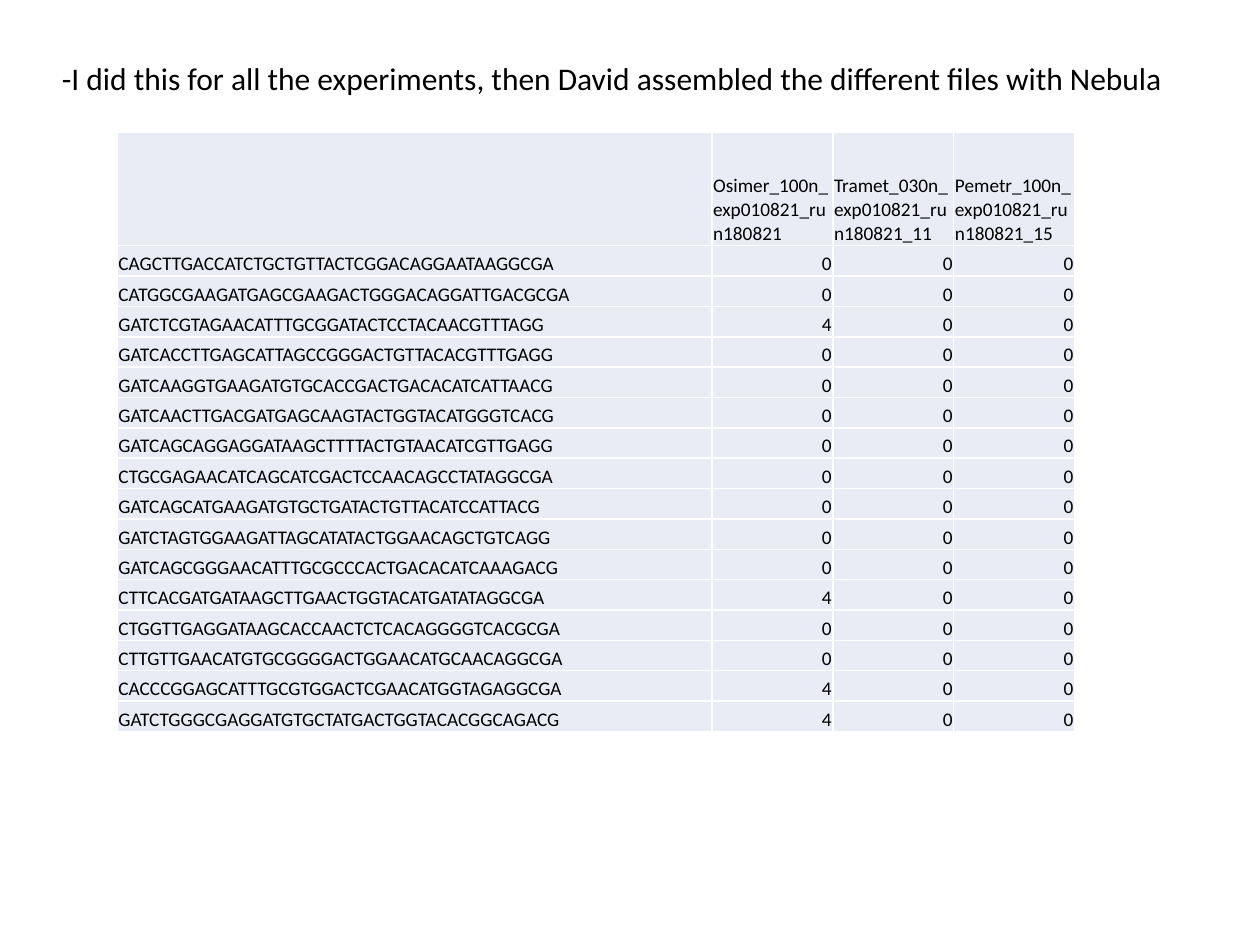
import pptx
import pptx.util
import pptx.dml.color
import pptx.enum.text
import lxml.etree
from pptx.oxml.ns import qn

Inches, Pt = pptx.util.Inches, pptx.util.Pt
Color = pptx.dml.color.RGBColor.from_string
Align = pptx.enum.text.PP_ALIGN
Anchor = pptx.enum.text.MSO_ANCHOR

theme = {
    "font": "Calibri", "ink": "000000", "cell": "E9EBF5", "rule": "FFFFFF",
    "title": 18, "body": 11, "line": 1,
}


def put(item, form):
    for key, value in form.items():
        setattr(item, key, value)


def write(para, text, size):
    run = para.add_run()
    run.text = text
    put(run.font, {"name": theme["font"], "size": Pt(size), "bold": False})
    run.font.color.rgb = Color(theme["ink"])


heads = [
    "",
    "Osimer_100n_exp010821_run180821",
    "Tramet_030n_exp010821_run180821_11",
    "Pemetr_100n_exp010821_run180821_15",
]
counts = {
    "CAGCTTGACCATCTGCTGTTACTCGGACAGGAATAAGGCGA": 0,
    "CATGGCGAAGATGAGCGAAGACTGGGACAGGATTGACGCGA": 0,
    "GATCTCGTAGAACATTTGCGGATACTCCTACAACGTTTAGG": 4,
    "GATCACCTTGAGCATTAGCCGGGACTGTTACACGTTTGAGG": 0,
    "GATCAAGGTGAAGATGTGCACCGACTGACACATCATTAACG": 0,
    "GATCAACTTGACGATGAGCAAGTACTGGTACATGGGTCACG": 0,
    "GATCAGCAGGAGGATAAGCTTTTACTGTAACATCGTTGAGG": 0,
    "CTGCGAGAACATCAGCATCGACTCCAACAGCCTATAGGCGA": 0,
    "GATCAGCATGAAGATGTGCTGATACTGTTACATCCATTACG": 0,
    "GATCTAGTGGAAGATTAGCATATACTGGAACAGCTGTCAGG": 0,
    "GATCAGCGGGAACATTTGCGCCCACTGACACATCAAAGACG": 0,
    "CTTCACGATGATAAGCTTGAACTGGTACATGATATAGGCGA": 4,
    "CTGGTTGAGGATAAGCACCAACTCTCACAGGGGTCACGCGA": 0,
    "CTTGTTGAACATGTGCGGGGACTGGAACATGCAACAGGCGA": 0,
    "CACCCGGAGCATTTGCGTGGACTCGAACATGGTAGAGGCGA": 4,
    "GATCTGGGCGAGGATGTGCTATGACTGGTACACGGCAGACG": 4,
}
rows = [heads] + [[tag, str(count), "0", "0"] for tag, count in counts.items()]

deck = pptx.Presentation()
put(deck, {"slide_width": Inches(10), "slide_height": Inches(7.5)})
slide = deck.slides.add_slide(deck.slide_layouts[5])

title = slide.shapes.title
put(title, {"left": Inches(0.39), "top": Inches(0.27),
            "width": Inches(9.49), "height": Inches(0.51)})
put(title.text_frame, {"word_wrap": True, "vertical_anchor": Anchor.TOP,
                       "auto_size": pptx.enum.text.MSO_AUTO_SIZE.SHAPE_TO_FIT_TEXT})
para = title.text_frame.paragraphs[0]
put(para, {"alignment": Align.LEFT, "line_spacing": 1.5,
           "space_before": Pt(0), "space_after": Pt(8)})
write(para, "-I did this for all the experiments, then David assembled "
            "the different files with Nebula", theme["title"])

table = slide.shapes.add_table(
    len(rows), len(heads), Inches(0.93), Inches(1.05), Inches(7.6), Inches(4.76)
).table
put(table, {"first_row": False, "horz_banding": False})
for col, wide in zip(table.columns, [4.72, 0.96, 0.96, 0.96]):
    col.width = Inches(wide)
for row in table.rows:
    row.height = Inches(3.86 / len(counts))
table.rows[0].height = Inches(0.9)

form = {
    "margin_left": Inches(0.01), "margin_top": Inches(0.01),
    "margin_right": Inches(0.01), "margin_bottom": Inches(0),
    "vertical_anchor": Anchor.BOTTOM,
}
for r, texts in enumerate(rows):
    for c, text in enumerate(texts):
        cell = table.cell(r, c)
        put(cell, form)
        props = cell._tc.get_or_add_tcPr()
        for side in ("a:lnL", "a:lnR", "a:lnT", "a:lnB"):
            edge = lxml.etree.SubElement(props, qn(side), w=str(Pt(theme["line"])))
            fill = lxml.etree.SubElement(edge, qn("a:solidFill"))
            lxml.etree.SubElement(fill, qn("a:srgbClr"), val=theme["rule"])
        cell.fill.solid()
        cell.fill.fore_color.rgb = Color(theme["cell"])
        if text:
            para = cell.text_frame.paragraphs[0]
            para.alignment = Align.RIGHT if r and c else Align.LEFT
            write(para, text, theme["body"])

deck.save("out.pptx")
